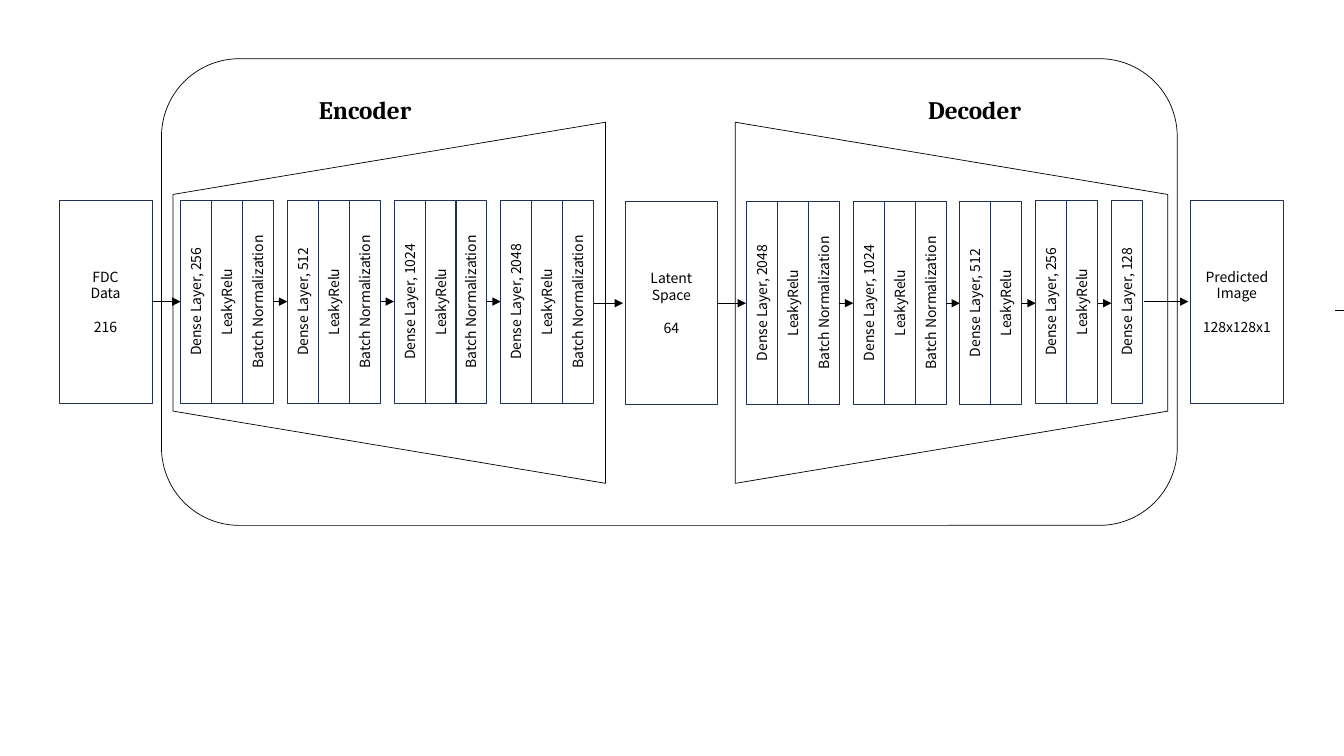
"""Build the encoder-decoder network diagram slide."""
import pptx
import pptx.dml.color
import pptx.enum.shapes
import pptx.enum.text
import pptx.oxml
import pptx.oxml.ns
import pptx.util

Cm, Pt = pptx.util.Cm, pptx.util.Pt
SHAPES = pptx.enum.shapes.MSO_SHAPE
COLORS = {"ink": "000000", "edge": "1E3256"}
BODY_FONT, HEADING_FONT = "Noto Sans CJK KR", "Cambria"

FULL = ["LeakyRelu", "Batch Normalization"]
SHORT = ["LeakyRelu"]
ENCODER = [["Dense Layer, 256"] + FULL, ["Dense Layer, 512"] + FULL,
           ["Dense Layer, 1024"] + FULL, ["Dense Layer, 2048"] + FULL]
DECODER = [["Dense Layer, 2048"] + FULL, ["Dense Layer, 1024"] + FULL,
           ["Dense Layer, 512"] + SHORT, ["Dense Layer, 256"] + SHORT,
           ["Dense Layer, 128"]]
UPPER, LOWER = 5.04, 5.07
UPPER_AXIS, LOWER_AXIS = 7.6, 7.64
STAGES = [(ENCODER, 4.55, [UPPER] * 4, UPPER_AXIS),
          (DECODER, 18.81, [LOWER] * 3 + [UPPER] * 2, LOWER_AXIS)]
DATA_BOXES = [(["FDC", "Data"], "216", 1.49, UPPER),
              (["Latent", "Space"], "64", 15.75, LOWER),
              (["Predicted", "Image"], "128x128x1", 30, UPPER)]
HEADINGS = [("Encoder", 7.7), ("Decoder", 23.06)]
TRAPEZOIDS = [(5.26, 90), (19.43, 270)]
LINKS = [(3.84, 4.55, UPPER_AXIS), (14.97, 15.7, LOWER_AXIS),
         (18.08, 18.8, LOWER_AXIS), (28.83, 29.95, UPPER_AXIS)]
LAYER_W, LAYER_H, BLOCK_GAP, DATA_W = 0.78, 5.13, 0.35, 2.34

deck = pptx.Presentation()
deck.slide_width, deck.slide_height = Cm(33.87), Cm(19.05)
slide = deck.slides.add_slide(deck.slide_layouts[6])


def rgb(name):
    """Return a palette colour."""
    return pptx.dml.color.RGBColor.from_string(COLORS[name])


def write(holder, lines, size=10, font=BODY_FONT, bold=False, vertical=False, last_gap=0):
    """Put centred lines of text into a shape."""
    frame = holder.text_frame
    frame.word_wrap = True
    frame.vertical_anchor = pptx.enum.text.MSO_ANCHOR.MIDDLE
    frame.margin_left = frame.margin_right = frame.margin_top = frame.margin_bottom = 0
    if vertical:
        frame._txBody.bodyPr.set("vert", "vert270")
    for index, line in enumerate(lines):
        paragraph = frame.paragraphs[0] if index == 0 else frame.add_paragraph()
        paragraph.alignment = pptx.enum.text.PP_ALIGN.CENTER
        run = paragraph.add_run()
        run.text = line
        run.font.size, run.font.name, run.font.bold = Pt(size), font, bold
        run.font.color.rgb = rgb("ink")
        fonts = run.font._element
        east_asian = pptx.oxml.parse_xml(
            f'<a:ea {pptx.oxml.ns.nsdecls("a")} typeface="{font}"/>')
        fonts.find(pptx.oxml.ns.qn("a:latin")).addnext(east_asian)
    if last_gap:
        paragraph.space_before = Pt(last_gap)


def outline(kind, left, top, width, height, color="edge", rotation=0):
    """Add an unfilled shape with a thin line."""
    figure = slide.shapes.add_shape(kind, Cm(left), Cm(top), Cm(width), Cm(height))
    figure.shadow.inherit = False
    figure.fill.background()
    figure.line.color.rgb = rgb(color)
    figure.line.width = Pt(0.5)
    figure.rotation = rotation
    return figure


def connect(start, end, axis, head=True):
    """Add a horizontal line, with an arrowhead unless told otherwise."""
    link = slide.shapes.add_connector(
        pptx.enum.shapes.MSO_CONNECTOR.STRAIGHT, Cm(start), Cm(axis), Cm(end), Cm(axis))
    link.line.color.rgb = rgb("ink")
    link.line.width = Pt(0.5)
    namespace = pptx.oxml.ns.nsdecls("a")
    if head:
        link.line._get_or_add_ln().append(
            pptx.oxml.parse_xml(f'<a:tailEnd {namespace} type="triangle"/>'))
    link._element.spPr.append(pptx.oxml.parse_xml(f"<a:effectLst {namespace}/>"))


def main():
    """Draw the diagram and save it."""
    outline(SHAPES.ROUNDED_RECTANGLE, 4.07, 1.48, 25.6, 11.76, color="ink")
    for left, rotation in TRAPEZOIDS:
        outline(SHAPES.FLOWCHART_MANUAL_OPERATION, left, 2.18, 9.1, 10.9,
                color="ink", rotation=rotation)
    for heading, left in HEADINGS:
        label = slide.shapes.add_textbox(Cm(left), Cm(2.26), Cm(3), Cm(1.02))
        write(label, [heading], size=18, font=HEADING_FONT, bold=True)
    for name, amount, left, top in DATA_BOXES:
        data_box = outline(SHAPES.RECTANGLE, left, top, DATA_W, LAYER_H)
        write(data_box, name + [amount], last_gap=12)
    for blocks, left, tops, axis in STAGES:
        for index, (layers, top) in enumerate(zip(blocks, tops)):
            if index:
                connect(left, left + BLOCK_GAP, axis)
                left += BLOCK_GAP
            for layer in layers:
                write(outline(SHAPES.RECTANGLE, left, top, LAYER_W, LAYER_H),
                      [layer], vertical=True)
                left += LAYER_W
    for start, end, axis in LINKS:
        connect(start, end, axis)
    connect(33.65, 33.87, 7.82, head=False)
    deck.save("out.pptx")


if __name__ == "__main__":
    main()
